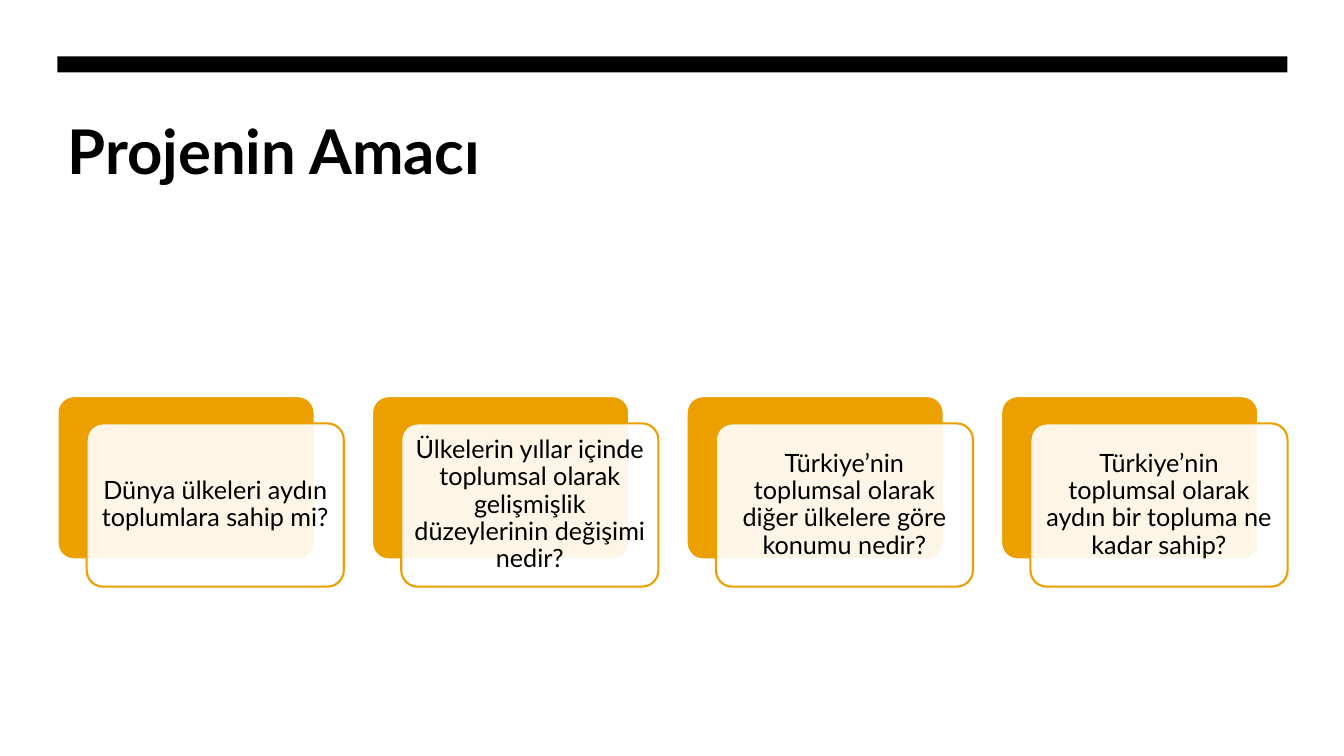
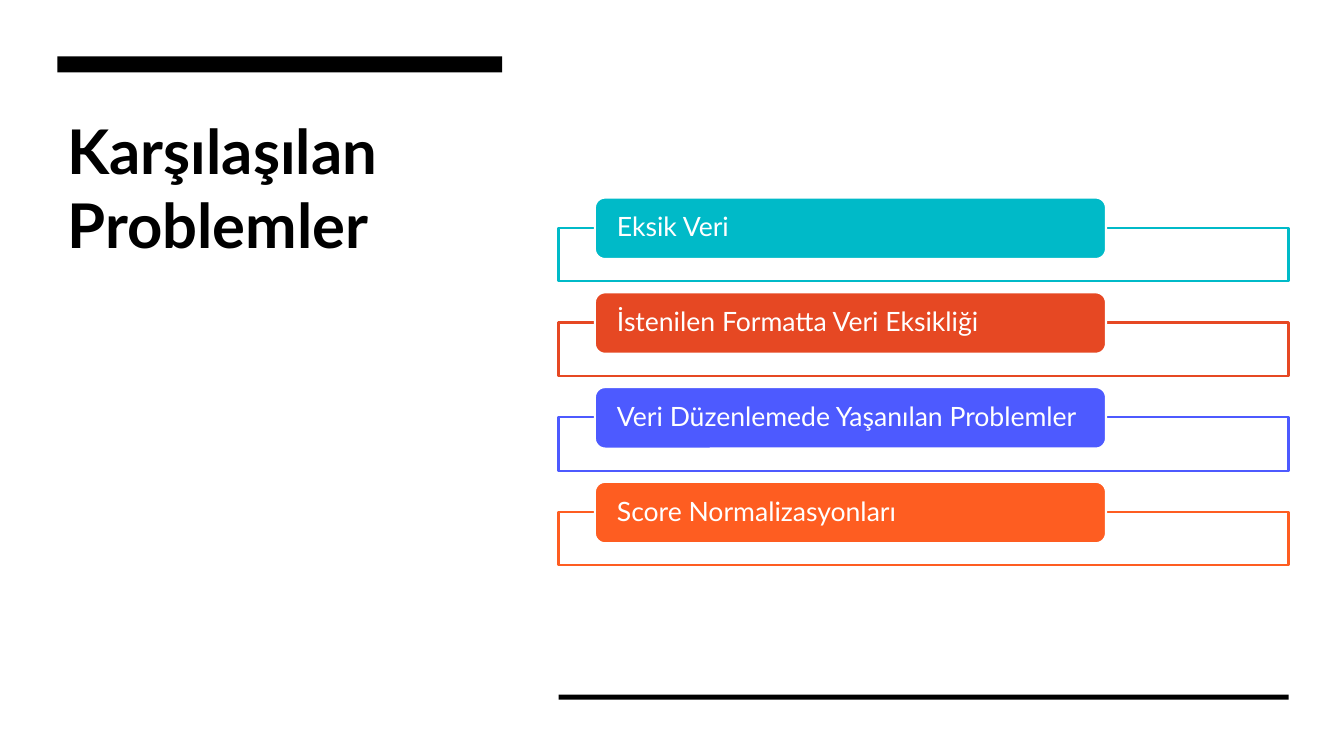
from lxml import etree
from pptx import Presentation
from pptx.dml.color import RGBColor
from pptx.enum.shapes import MSO_SHAPE
from pptx.enum.text import MSO_ANCHOR, MSO_AUTO_SIZE, PP_ALIGN
from pptx.oxml.ns import qn
from pptx.util import Emu, Pt

RECT = MSO_SHAPE.RECTANGLE
ROUND = MSO_SHAPE.ROUNDED_RECTANGLE
TOP, MIDDLE = MSO_ANCHOR.TOP, MSO_ANCHOR.MIDDLE
LEFT, CENTER = PP_ALIGN.LEFT, PP_ALIGN.CENTER
NO_FIT = MSO_AUTO_SIZE.NONE

SCALE = 9144
FONT = "Lato"
BLACK, WHITE, GOLD = "000000", "FFFFFF", "EBA000"
WIDE, HIGH = 1333, 750
EDGE = 57

GOALS = [
    "Dünya ülkeleri aydın toplumlara sahip mi?",
    "Ülkelerin yıllar içinde toplumsal olarak gelişmişlik düzeylerinin değişimi nedir?",
    "Türkiye’nin toplumsal olarak diğer ülkelere göre konumu nedir?",
    "Türkiye’nin toplumsal olarak aydın bir topluma ne kadar sahip?",
]
ISSUES = [
    ("Eksik Veri", "00BAC8"),
    ("İstenilen Formatta Veri Eksikliği", "E64823"),
    ("Veri Düzenlemede Yaşanılan Problemler", "4D5AFF"),
    ("Score Normalizasyonları", "FE5D21"),
]


def px(size):
    """Turn px into EMU."""
    return Emu(size * SCALE)


def color(code):
    """Turn a hex string into a colour."""
    return RGBColor.from_string(code)


def add_box(slide, kind, left, top, width, height, fill, line=None, alpha=100):
    """Add a preset shape with its fill and outline."""
    box = slide.shapes.add_shape(kind, px(left), px(top), px(width), px(height))
    box.shadow.inherit = False
    box.fill.solid()
    box.fill.fore_color.rgb = color(fill)
    if alpha < 100:
        tint = box.element.spPr.find(qn("a:solidFill"))[0]
        etree.SubElement(tint, qn("a:alpha"), val=str(alpha * 1000))
    if line:
        box.line.color.rgb = color(line)
        box.line.width = Pt(1.5)
    else:
        box.line.fill.background()
    return box


def set_text(shape, text, size, ink, align, anchor, bold=False, space=1.0):
    """Write one formatted run into a shape."""
    frame = shape.text_frame
    frame.word_wrap = True
    frame.auto_size = NO_FIT
    frame.vertical_anchor = anchor
    para = frame.paragraphs[0]
    para.alignment = align
    para.line_spacing = space
    run = para.add_run()
    run.text = text
    run.font.name = FONT
    run.font.size = Pt(size)
    run.font.bold = bold
    run.font.color.rgb = color(ink)


def set_pad(shape, side, ends):
    """Set the text margins of a shape."""
    frame = shape.text_frame
    frame.margin_left = frame.margin_right = px(side)
    frame.margin_top = frame.margin_bottom = px(ends)


def add_slide(deck, text, width, height):
    """Add a slide with its backdrop, title and top bar."""
    slide = deck.slides.add_slide(deck.slide_layouts[5])
    title = slide.shapes.title
    title.left, title.top = px(EDGE), px(107)
    title.width, title.height = px(width), px(height)
    set_text(title, text, 44, BLACK, LEFT, TOP, bold=True)
    page = add_box(slide, RECT, 0, 0, WIDE, HIGH, WHITE)
    title.element.addprevious(page.element)
    add_box(slide, RECT, EDGE, 56, width, 16, BLACK)
    return slide


def add_card(slide, left, text):
    """Add a gold card with a text card in front."""
    back = add_box(slide, ROUND, left, 393, 255, 162, GOLD, WHITE)
    front = add_box(slide, ROUND, left + 29, 420, 255, 162, WHITE, GOLD, 90)
    for card in (back, front):
        card.adjustments[0] = 0.1
    set_pad(front, 8, 7)
    set_text(front, text, 18, BLACK, CENTER, MIDDLE, space=0.9)


def add_issue(slide, top, text, hue):
    """Add a framed row with a coloured label."""
    add_box(slide, RECT, 554, top + 30, 724, 53, WHITE, hue, 90)
    label = add_box(slide, ROUND, 590, top, 507, 61, hue, WHITE)
    set_pad(label, 19, 0)
    set_text(label, text, 19, WHITE, LEFT, MIDDLE, space=0.9)


def main():
    """Build and save the deck."""
    deck = Presentation()
    deck.slide_width, deck.slide_height = px(WIDE), px(HIGH)

    slide = add_slide(deck, "Projenin Amacı", 1220, 160)
    for num, text in enumerate(GOALS):
        add_card(slide, EDGE + 312 * num, text)

    slide = add_slide(deck, "Karşılaşılan Problemler", 441, 368)
    add_box(slide, RECT, 554, 689, 724, 5, BLACK)
    for num, (text, hue) in enumerate(ISSUES):
        add_issue(slide, 196 + 94 * num, text, hue)

    deck.save("out.pptx")


if __name__ == "__main__":
    main()
